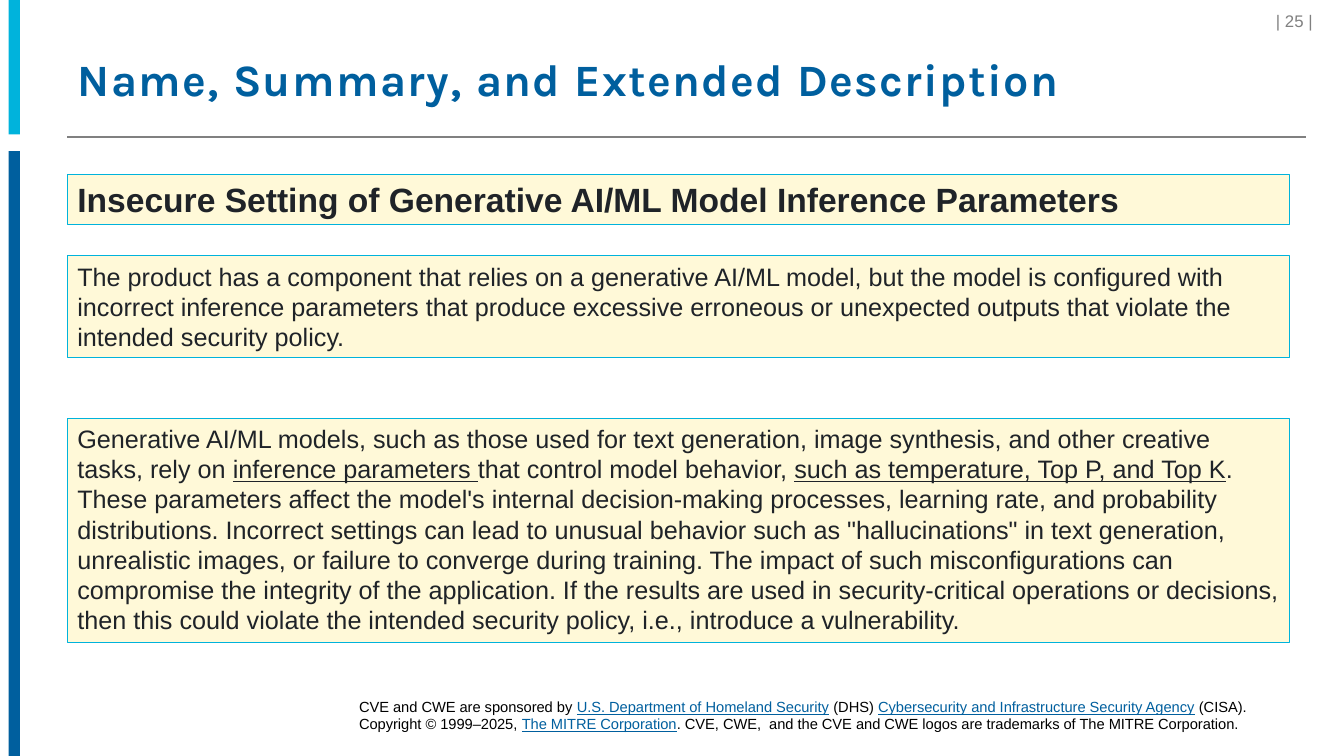
from pptx import Presentation
from pptx.dml.color import RGBColor
from pptx.enum.shapes import MSO_CONNECTOR, MSO_SHAPE
from pptx.enum.text import MSO_ANCHOR, PP_ALIGN
from pptx.oxml.ns import qn
from pptx.util import Cm, Pt
from lxml.etree import SubElement

HUES = {"cyan": "00B3DC", "blue": "005F9E", "gray": "808080",
        "cream": "FFF9D8", "ink": "1F2328", "black": "000000"}
LEFT = 1.7

SUMMARY = ("The product has a component that relies on a generative AI/ML model, "
           "but the model is configured with incorrect inference parameters that "
           "produce excessive erroneous or unexpected outputs that violate the "
           "intended security policy.")
# In the lists of runs, every second run is underlined.
DETAIL = [
    "Generative AI/ML models, such as those used for text generation, image "
    "synthesis, and other creative tasks, rely on ",
    "inference parameters ",
    "that control model behavior, ",
    "such as temperature, Top P, and Top K",
    ". These parameters affect the model's internal decision-making processes, "
    "learning rate, and probability distributions. Incorrect settings can lead to "
    "unusual behavior such as \"hallucinations\" in text generation, unrealistic "
    "images, or failure to converge during training. The impact of such "
    "misconfigurations can compromise the integrity of the application. If the "
    "results are used in security-critical operations or decisions, then this could "
    "violate the intended security policy, i.e., introduce a vulnerability.",
]
CREDIT = [
    "CVE and CWE are sponsored by ",
    "U.S. Department of Homeland Security",
    " (DHS) ",
    "Cybersecurity and Infrastructure Security Agency",
    " (CISA). Copyright © 1999–2025, ",
    "The MITRE Corporation",
    ". CVE, CWE,  and the CVE and CWE logos are trademarks of The MITRE Corporation.",
]


def color(name):
    return RGBColor.from_string(HUES[name])


def add_run(para, text, size, hue, bold=False, under=False, face="Arial"):
    run = para.add_run()
    run.text = text
    font = run.font
    font.name, font.size = face, Pt(size)
    font.bold, font.underline = bold, under
    font.color.rgb = color(hue)
    return run


def add_mixed(para, parts, size, hue, mark):
    """Add runs in turn plain and underlined, the latter in the mark colour."""
    for i, part in enumerate(parts):
        under = i % 2 == 1
        add_run(para, part, size, mark if under else hue, under=under)


def add_rect(slide, box, fill, line=None):
    rect = slide.shapes.add_shape(MSO_SHAPE.RECTANGLE, *map(Cm, box))
    rect.shadow.inherit = False
    rect.fill.solid()
    rect.fill.fore_color.rgb = color(fill)
    if line:
        rect.line.color.rgb = color(line)
        rect.line.width = Pt(0.75)
    else:
        rect.line.fill.background()
    return rect


def add_frame(slide, box):
    frame = slide.shapes.add_textbox(*map(Cm, box)).text_frame
    frame.word_wrap = True
    return frame


def add_bars(slide, box):
    """Stack a short cyan bar and a long blue bar with a gap between."""
    x, y, w, h = box
    short, gap = 3.39, 0.42
    add_rect(slide, (x, y, w, short), "cyan")
    add_rect(slide, (x, y + short + gap, w, h - short - gap), "blue")


def add_title(slide, box):
    x, y, w, h = box
    title = slide.shapes.title
    title.left, title.top, title.width, title.height = map(Cm, box)
    frame = title.text_frame
    frame.vertical_anchor = MSO_ANCHOR.MIDDLE
    para = frame.paragraphs[0]
    para.alignment = PP_ALIGN.LEFT
    para.line_spacing = 0.9
    run = add_run(para, "Name, Summary, and Extended Description", 32, "blue",
                  bold=True, face="Karla")
    run._r.get_or_add_rPr().set("spc", "100")
    base = Cm(y + h + 0.35)
    rule = slide.shapes.add_connector(MSO_CONNECTOR.STRAIGHT, Cm(x), base, Cm(x + w), base)
    rule.line.color.rgb = color("gray")
    rule.line.width = Pt(1)
    SubElement(rule._element.spPr, qn("a:effectLst"))


def add_panel(slide, box):
    """Draw a cream box and return its paragraph."""
    frame = add_rect(slide, box, "cream", "cyan").text_frame
    frame.word_wrap = True
    frame.vertical_anchor = MSO_ANCHOR.TOP
    para = frame.paragraphs[0]
    para.alignment = PP_ALIGN.LEFT
    return para


def add_body(slide, box):
    x, y, w, h = box
    name = add_panel(slide, (x, y, w, 1.27))
    add_run(name, "Insecure Setting of Generative AI/ML Model Inference Parameters",
            24, "ink", bold=True)
    brief = add_panel(slide, (x, y + 2.06, w, 2.57))
    add_run(brief, SUMMARY, 18, "ink")
    tall = 5.64
    detail = add_panel(slide, (x, y + h - tall, w, tall))
    add_mixed(detail, DETAIL, 18, "ink", "ink")


def add_number(slide, box):
    para = add_frame(slide, box).paragraphs[0]
    para.alignment = PP_ALIGN.RIGHT
    add_run(para, "| 25 | ", 12, "gray")


def add_credit(slide, box):
    frame = add_frame(slide, box)
    frame.margin_left = frame.margin_right = Cm(0.13)
    frame.margin_top = frame.margin_bottom = Cm(0.13)
    add_mixed(frame.paragraphs[0], CREDIT, 10.5, "black", "blue")


def main():
    deck = Presentation()
    deck.slide_width, deck.slide_height = Cm(33.87), Cm(19.05)
    slide = deck.slides.add_slide(deck.slide_layouts[5])
    add_bars(slide, (0.22, 0, 0.28, 19.05))
    add_title(slide, (LEFT, 1.02, 31.22, 2.08))
    add_number(slide, (28.55, 0.15, 4.9, 0.71))
    add_body(slide, (LEFT, 4.39, 30.81, 11.79))
    add_credit(slide, (8.92, 17.45, 24.23, 1.14))
    deck.save("out.pptx")


if __name__ == "__main__":
    main()
